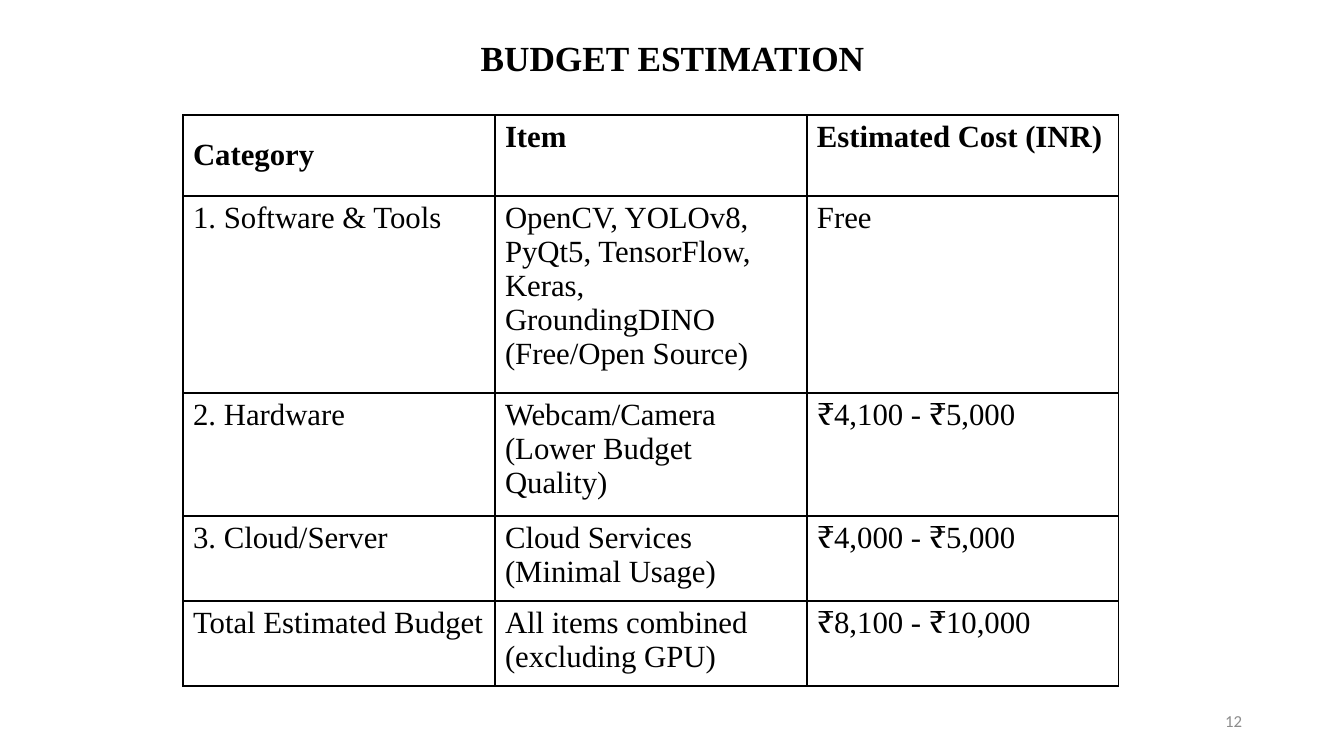
from lxml import etree
from pptx import Presentation
from pptx.dml.color import RGBColor
from pptx.enum.text import MSO_ANCHOR, PP_ALIGN
from pptx.oxml.ns import qn
from pptx.util import Emu, Pt

MIDDLE, TOP = MSO_ANCHOR.MIDDLE, MSO_ANCHOR.TOP
CENTER, LEFT, RIGHT = PP_ALIGN.CENTER, PP_ALIGN.LEFT, PP_ALIGN.RIGHT

# Content
TITLE = "BUDGET ESTIMATION"
PAGE_NUMBER = "12"
BUDGET = [
    ("Category", "Item", "Estimated Cost (INR)"),
    ("1. Software & Tools",
     "OpenCV, YOLOv8, PyQt5, TensorFlow, Keras, GroundingDINO (Free/Open Source)",
     "Free"),
    ("2. Hardware", "Webcam/Camera (Lower Budget Quality)", "₹4,100 - ₹5,000"),
    ("3. Cloud/Server", "Cloud Services (Minimal Usage)", "₹4,000 - ₹5,000"),
    ("Total Estimated Budget", "All items combined (excluding GPU)", "₹8,100 - ₹10,000"),
]

# Layout in px
SLIDE_SIZE = (1344, 756)
TITLE_BOX = (93, 31, 1159, 52)
NUMBER_BOX = (950, 701, 302, 40)
TABLE_LEFT, TABLE_TOP = 183, 115
COLUMN_WIDTH = 312
ROW_HEIGHTS = [81, 197, 123, 85, 85]

COLORS = {"text": "000000", "border": "000000", "number": "8C8C8C"}
SERIF, SANS = "Times New Roman", "Calibri"


def px(value):
    return Emu(round(value * 914400 / 100.8))


def write(text_frame, text, size, font_name, color, align=LEFT, bold=False):
    text_frame.text = text
    paragraph = text_frame.paragraphs[0]
    paragraph.alignment = align
    font = paragraph.runs[0].font
    font.size, font.name, font.bold = Pt(size), font_name, bold
    font.color.rgb = RGBColor.from_string(COLORS[color])


def add_text(slide, box, *style, **options):
    text_frame = slide.shapes.add_textbox(*map(px, box)).text_frame
    text_frame.word_wrap = True
    text_frame.vertical_anchor = MIDDLE
    write(text_frame, *style, **options)


def add_borders(cell):
    properties = cell._tc.get_or_add_tcPr()
    for index, side in enumerate(("lnL", "lnR", "lnT", "lnB")):
        line = etree.Element(qn(f"a:{side}"), w=str(Pt(1)))
        fill = etree.SubElement(line, qn("a:solidFill"))
        etree.SubElement(fill, qn("a:srgbClr"), val=COLORS["border"])
        properties.insert(index, line)


def add_budget_table(slide):
    columns = len(BUDGET[0])
    table = slide.shapes.add_table(
        len(BUDGET), columns, px(TABLE_LEFT), px(TABLE_TOP),
        px(COLUMN_WIDTH * columns), px(sum(ROW_HEIGHTS))).table
    table.horz_banding = False
    for column in table.columns:
        column.width = px(COLUMN_WIDTH)
    for row_index, (values, height) in enumerate(zip(BUDGET, ROW_HEIGHTS)):
        table.rows[row_index].height = px(height)
        for column_index, value in enumerate(values):
            cell = table.cell(row_index, column_index)
            cell.fill.background()
            cell.vertical_anchor = MIDDLE if row_index == column_index == 0 else TOP
            write(cell.text_frame, value, 22, SERIF, "text", bold=row_index == 0)
            add_borders(cell)


def main():
    presentation = Presentation()
    presentation.slide_width, presentation.slide_height = map(px, SLIDE_SIZE)
    slide = presentation.slides.add_slide(presentation.slide_layouts[6])

    # Title, page number and table
    add_text(slide, TITLE_BOX, TITLE, 25.2, SERIF, "text", align=CENTER, bold=True)
    add_text(slide, NUMBER_BOX, PAGE_NUMBER, 12, SANS, "number", align=RIGHT)
    add_budget_table(slide)
    presentation.save("out.pptx")


if __name__ == "__main__":
    main()
